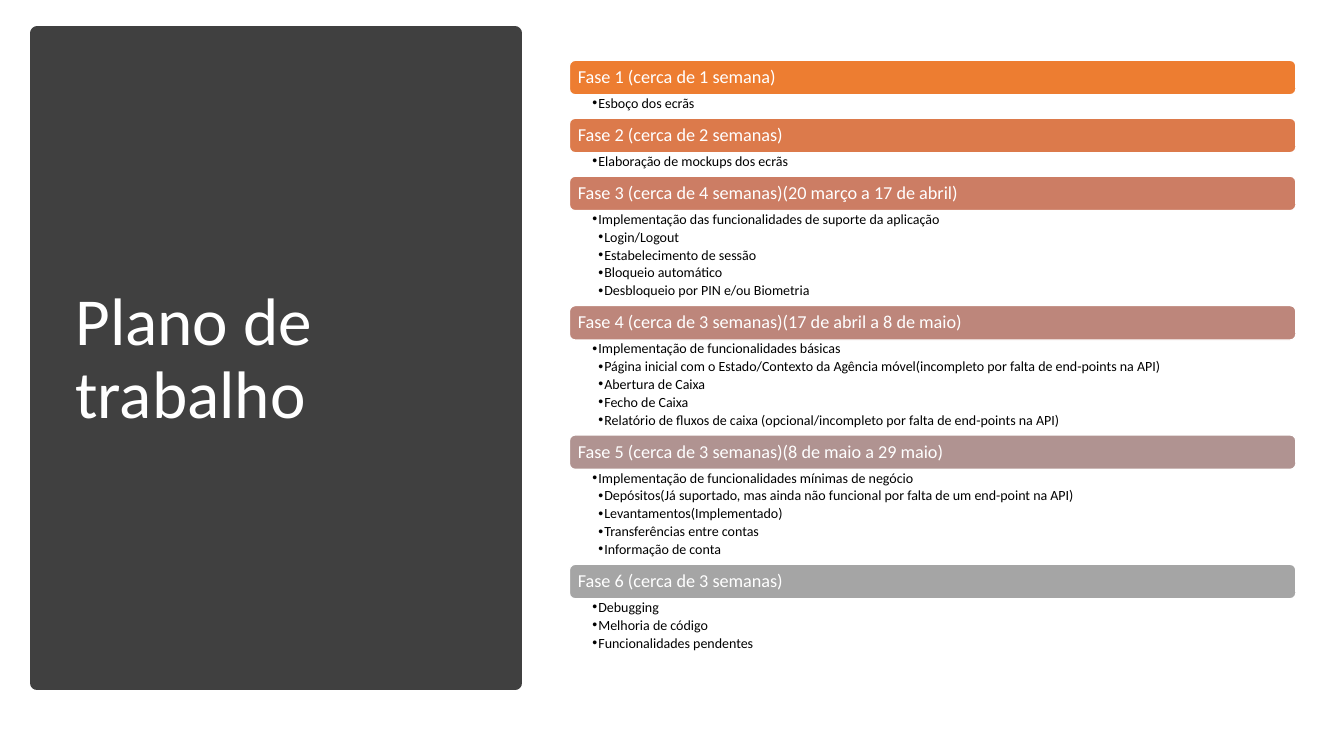
"""Builds the work plan slide: a dark title panel beside six project phases."""
import dataclasses

import pptx
import pptx.dml.color
import pptx.enum.shapes
import pptx.enum.text
import pptx.oxml.ns
import pptx.util
from lxml import etree

Cm = pptx.util.Cm
Pt = pptx.util.Pt


@dataclasses.dataclass(frozen=True)
class Theme:
    font: str = "Calibri"
    panel: str = "404040"
    light: str = "FFFFFF"
    dark: str = "000000"
    phases: tuple = ("ED7D31", "DC7A4B", "CC7D64", "BD867B", "B09391", "A5A5A5")
    title_size: float = 48
    phase_size: float = 13
    item_size: float = 10


PHASES = [
    ("Fase 1 (cerca de 1 semana)", [(1, "Esboço dos ecrãs")]),
    ("Fase 2 (cerca de 2 semanas)", [(1, "Elaboração de mockups dos ecrãs")]),
    ("Fase 3 (cerca de 4 semanas)(20 março a 17 de abril)", [
        (1, "Implementação das funcionalidades de suporte da aplicação"),
        (2, "Login/Logout"),
        (2, "Estabelecimento de sessão"),
        (2, "Bloqueio automático"),
        (2, "Desbloqueio por PIN e/ou Biometria"),
    ]),
    ("Fase 4 (cerca de 3 semanas)(17 de abril a 8 de maio)", [
        (1, "Implementação de funcionalidades básicas"),
        (2, "Página inicial com o Estado/Contexto da Agência móvel"
            "(incompleto por falta de end-points na API)"),
        (2, "Abertura de Caixa"),
        (2, "Fecho de Caixa"),
        (2, "Relatório de fluxos de caixa (opcional/incompleto por falta de end-points na API)"),
    ]),
    ("Fase 5 (cerca de 3 semanas)(8 de maio a 29 maio)", [
        (1, "Implementação de funcionalidades mínimas de negócio"),
        (2, "Depósitos(Já suportado, mas ainda não funcional por falta de um end-point na API)"),
        (2, "Levantamentos(Implementado)"),
        (2, "Transferências entre contas"),
        (2, "Informação de conta"),
    ]),
    ("Fase 6 (cerca de 3 semanas)", [
        (1, "Debugging"),
        (1, "Melhoria de código"),
        (1, "Funcionalidades pendentes"),
    ]),
]


class SlideBuilder:
    def __init__(self, prs, theme):
        self.theme = theme
        layout = prs.slide_layouts[1]
        self.s = prs.slides.add_slide(layout)
        self.title_holder, self.body_holder = list(layout.placeholders)[:2]
        for sp in list(self.s.placeholders):
            sp.element.getparent().remove(sp.element)

    def color(self, value):
        return pptx.dml.color.RGBColor.from_string(value)

    def placeholder(self, holder, box):
        self.s.shapes.clone_placeholder(holder)
        sp = self.s.shapes[-1]
        sp.left, sp.top, sp.width, sp.height = map(Cm, box)
        return sp

    def shape(self, kind, box, fill, line, weight):
        sp = self.s.shapes.add_shape(kind, *map(Cm, box))
        sp.shadow.inherit = False
        sp.fill.solid()
        sp.fill.fore_color.rgb = self.color(fill)
        sp.line.color.rgb = self.color(line)
        sp.line.width = Pt(weight)
        return sp

    def frame(self, sp, anchor, insets):
        tf = sp.text_frame
        tf.word_wrap = True
        tf.auto_size = pptx.enum.text.MSO_AUTO_SIZE.NONE
        tf.vertical_anchor = anchor
        tf.margin_left, tf.margin_top, tf.margin_right, tf.margin_bottom = map(Cm, insets)
        return tf

    def paragraph(self, p, text, size, color, after=0):
        p.text = text
        p.alignment = pptx.enum.text.PP_ALIGN.LEFT
        p.line_spacing = 0.9
        p.space_before = Pt(0)
        p.space_after = Pt(after)
        for r in p.runs:
            r.font.name = self.theme.font
            r.font.size = Pt(size)
            r.font.color.rgb = self.color(color)

    def panel(self, box):
        self.shape(pptx.enum.shapes.MSO_SHAPE.RECTANGLE, box,
                   self.theme.panel, self.theme.panel, 10)

    def title(self, text, box):
        sp = self.placeholder(self.title_holder, box)
        tf = self.frame(sp, pptx.enum.text.MSO_ANCHOR.MIDDLE, (0.25, 0.13, 0.25, 0.13))
        self.paragraph(tf.paragraphs[0], text, self.theme.title_size, self.theme.light)

    def phase_bar(self, text, box, fill):
        sp = self.shape(pptx.enum.shapes.MSO_SHAPE.ROUNDED_RECTANGLE, box,
                        fill, self.theme.light, 1)
        tf = self.frame(sp, pptx.enum.text.MSO_ANCHOR.MIDDLE, (0.17, 0.13, 0.17, 0.13))
        self.paragraph(tf.paragraphs[0], text, self.theme.phase_size, self.theme.light)

    def bullets(self, items, box):
        sp = self.placeholder(self.body_holder, box)
        tf = self.frame(sp, pptx.enum.text.MSO_ANCHOR.TOP, (0.58, 0.04, 0.25, 0.04))
        tf.text = "\n".join(text for _, text in items)
        for p, (level, text) in zip(tf.paragraphs, items):
            self.paragraph(p, text, self.theme.item_size, self.theme.dark, after=1.9)
            p.level = level
            pPr = p._p.get_or_add_pPr()
            pPr.set("marL", str(Cm(0.15 * level)))
            pPr.set("indent", str(-Cm(0.15)))
            etree.SubElement(pPr, pptx.oxml.ns.qn("a:buChar")).set("char", "•")


def main():
    prs = pptx.Presentation()
    prs.slide_width, prs.slide_height = Cm(33.87), Cm(19.05)
    theme = Theme()
    slide = SlideBuilder(prs, theme)
    slide.panel((0.94, 0.84, 12.04, 16.38))
    slide.title("Plano de trabalho", (1.65, 1.78, 10.57, 14.6))

    left, top, width, bar_height = 14.35, 1.52, 18.31, 0.87
    for (name, items), fill in zip(PHASES, theme.phases):
        slide.phase_bar(name, (left, top, width, bar_height), fill)
        top += bar_height
        list_height = 0.14 + 0.45 * len(items)
        slide.bullets(items, (left, top, width, list_height))
        top += list_height

    prs.save("out.pptx")


if __name__ == "__main__":
    main()
